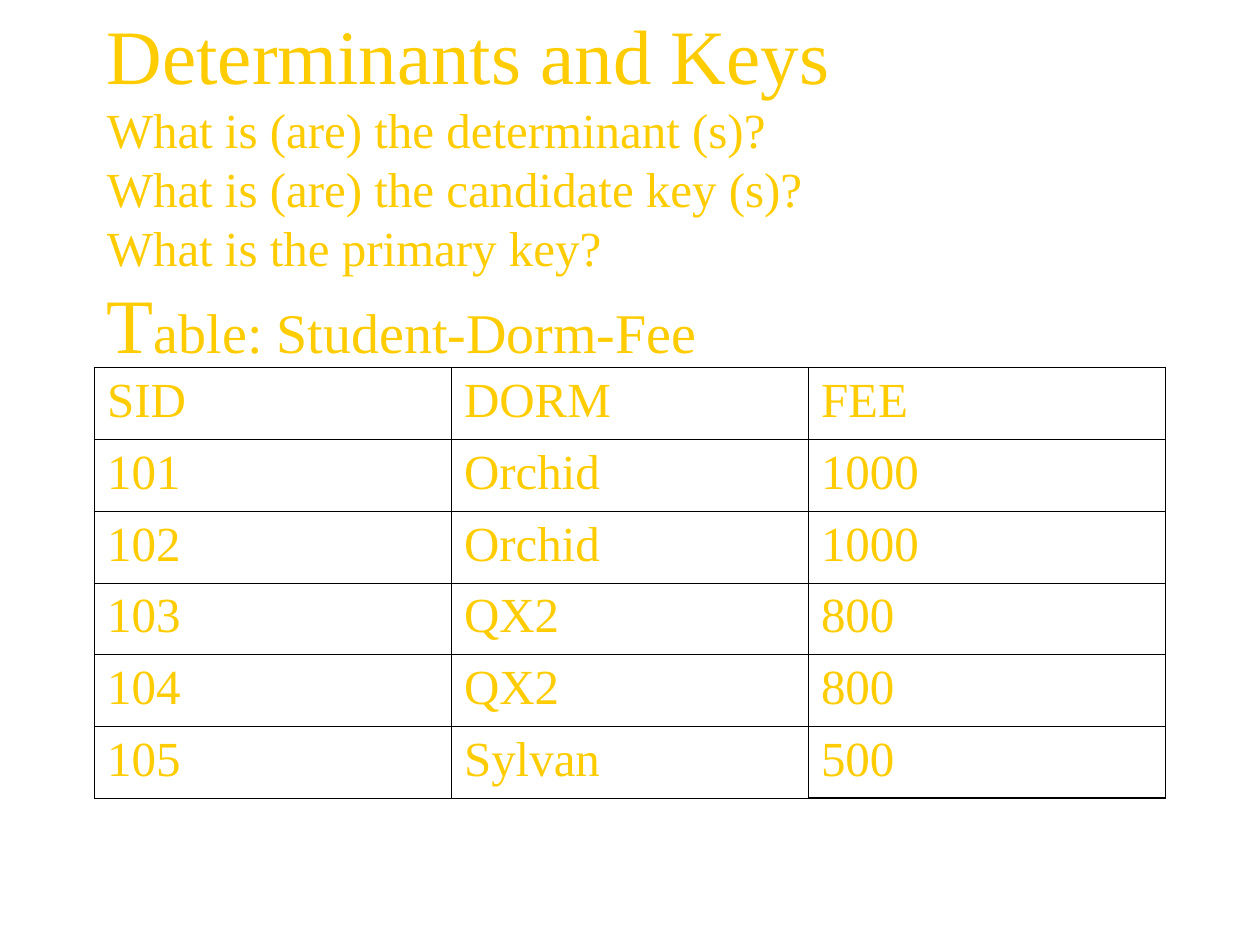
"""Build the Determinants and Keys slide with its Student-Dorm-Fee table."""
from lxml import etree
from pptx import Presentation, util as u
from pptx.dml.color import RGBColor
from pptx.enum import text
from pptx.oxml import ns

GOLD = RGBColor(0xFF, 0xCC, 0x00)
BLACK = RGBColor(0, 0, 0)
THIN, THICK = u.Pt(0.45), u.Pt(1.08)

prs = Presentation()
prs.slide_width, prs.slide_height = u.Inches(10), u.Inches(7.5)
W, H = prs.slide_width, prs.slide_height
s = prs.slides.add_slide(prs.slide_layouts[6])
left, width = int(W * 0.075), int(W * 0.85)
text_top, table_top = u.Inches(0.01), int(H * 0.389)


def add_run(p, words, size):
    r = p.add_run()
    r.text = words
    for name, value in {"name": "Times New Roman", "size": u.Pt(size)}.items():
        setattr(r.font, name, value)
    r.font.color.rgb = GOLD


def add_border(cell, side, line_width):
    ln = etree.SubElement(cell._tc.get_or_add_tcPr(), ns.qn(f"a:{side}"), w=str(line_width))
    fill = etree.SubElement(ln, ns.qn("a:solidFill"))
    etree.SubElement(fill, ns.qn("a:srgbClr"), val=str(BLACK))


lines = [
    [("Determinants and Keys", 44)],
    [("What is (are) the determinant (s)?", 28)],
    [("What is (are) the candidate key (s)?", 28)],
    [("What is the primary key?", 28)],
    [("T", 44), ("able: Student-Dorm-Fee", 32)],
]
sp = s.shapes.add_textbox(left, text_top, width, table_top - text_top)
tf = sp.text_frame
frame = {"word_wrap": True, "vertical_anchor": text.MSO_ANCHOR.TOP, "margin_bottom": 0}
for name, value in frame.items():
    setattr(tf, name, value)
for i, runs in enumerate(lines):
    p = tf.add_paragraph() if i else tf.paragraphs[0]
    for words, size in runs:
        add_run(p, words, size)

rows = [
    ("SID", "DORM", "FEE"),
    ("101", "Orchid", "1000"),
    ("102", "Orchid", "1000"),
    ("103", "QX2", "800"),
    ("104", "QX2", "800"),
    ("105", "Sylvan", "500"),
]
last_row, last_col = len(rows) - 1, len(rows[0]) - 1
table = s.shapes.add_table(
    len(rows), len(rows[0]), left, table_top, width, int(H * 0.456)
).table
for name in ("first_row", "horz_banding"):
    setattr(table, name, False)
for i, row in enumerate(rows):
    for j, words in enumerate(row):
        cell = table.cell(i, j)
        add_run(cell.text_frame.paragraphs[0], words, 28)
        outer = {
            "lnL": j == 0,
            "lnR": j == last_col,
            "lnT": i == 0,
            "lnB": i == last_row and j == last_col,
        }
        for side, is_outer in outer.items():
            add_border(cell, side, THICK if is_outer else THIN)
        cell.fill.background()

prs.save("out.pptx")
